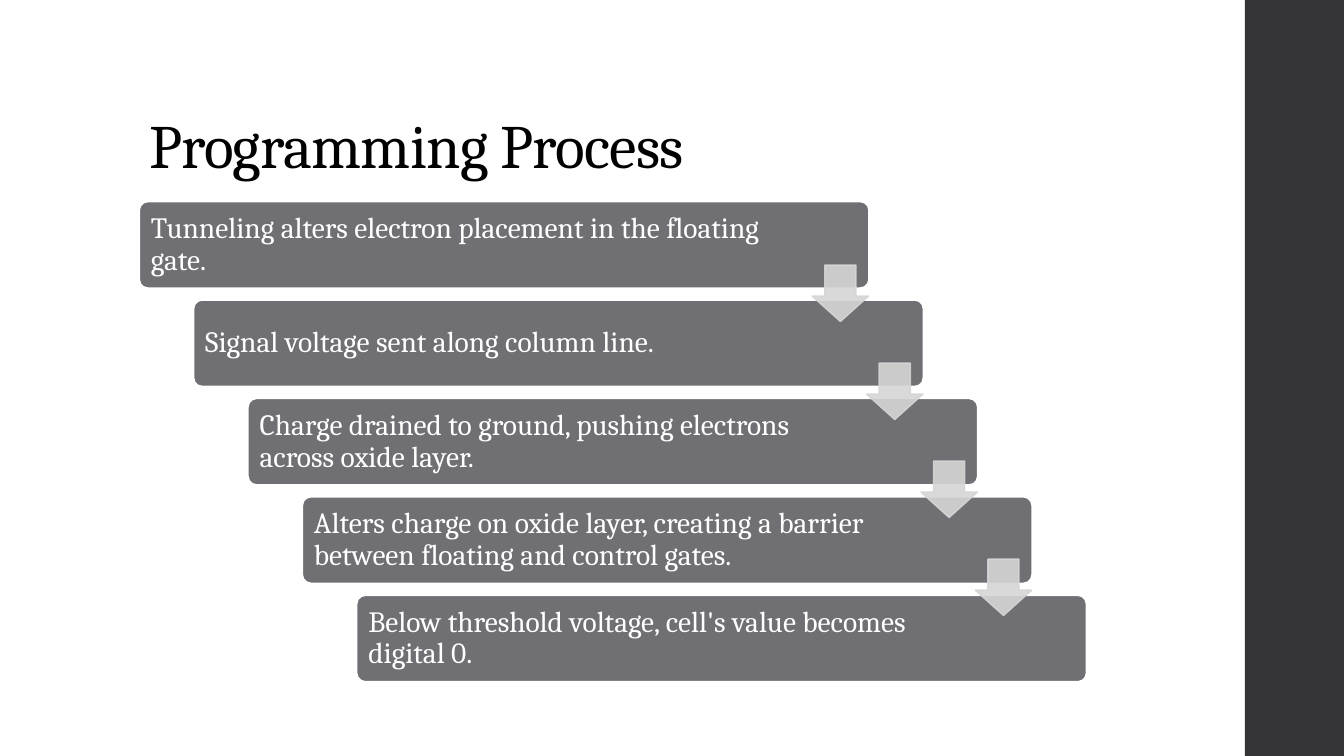
from dataclasses import dataclass

from lxml import etree
from pptx import Presentation
from pptx.dml.color import RGBColor
from pptx.enum.shapes import MSO_SHAPE
from pptx.enum.text import MSO_ANCHOR, PP_ALIGN
from pptx.oxml.ns import qn
from pptx.util import Cm, Pt

RECT = MSO_SHAPE.RECTANGLE
ROUND_RECT = MSO_SHAPE.ROUNDED_RECTANGLE
DOWN_ARROW = MSO_SHAPE.DOWN_ARROW
MIDDLE = MSO_ANCHOR.MIDDLE
BOTTOM = MSO_ANCHOR.BOTTOM
LEFT = PP_ALIGN.LEFT

STEPS = [
    "Tunneling alters electron placement in the floating gate.",
    "Signal voltage sent along column line.",
    "Charge drained to ground, pushing electrons across oxide layer.",
    "Alters charge on oxide layer, creating a barrier between floating and control gates.",
    "Below threshold voltage, cell's value becomes digital 0.",
]
STEP_X, STEP_Y = 3.51, 5.08
STEP_DX, STEP_DY = 1.37, 2.48
STEP_W, STEP_H = 18.39, 2.18
ARROW_X, ARROW_Y, ARROW_DY = 20.47, 6.68, 2.47
ARROW_SIZE = 1.42
TEXT_INSET = 0.23
FIRST_RIGHT_INSET, RIGHT_INSET = 2.68, 3.0


@dataclass(frozen=True)
class Theme:
    font: str = "Cambria"
    title_size: float = 44
    step_size: float = 21
    line_width: float = 1.1
    line_spacing: float = 0.9
    ink: str = "000000"
    white: str = "FFFFFF"
    sidebar: str = "353537"
    step: str = "6F6F74"
    arrow: str = "D5D5D6"


class Deck:
    def __init__(self, slide, theme):
        self.s = slide
        self.theme = theme

    def shape(self, kind, x, y, w, h, fill, line=None, adjust=()):
        sp = self.s.shapes.add_shape(kind, Cm(x), Cm(y), Cm(w), Cm(h))
        sp.shadow.inherit = False
        sp.fill.solid()
        sp.fill.fore_color.rgb = RGBColor.from_string(fill)
        if line:
            sp.line.color.rgb = RGBColor.from_string(line)
            sp.line.width = Pt(self.theme.line_width)
        else:
            sp.line.fill.background()
        for i, value in enumerate(adjust):
            sp.adjustments[i] = value
        return sp

    def label(self, sp, text, size, color, anchor):
        tf = sp.text_frame
        tf.word_wrap = True
        tf.vertical_anchor = anchor
        tf.text = text
        p = tf.paragraphs[0]
        p.alignment = LEFT
        p.line_spacing = self.theme.line_spacing
        r = p.runs[0]
        r.font.name = self.theme.font
        r.font.size = Pt(size)
        r.font.color.rgb = RGBColor.from_string(color)
        return r

    def title(self, text, x, y, w, h):
        sp = self.s.shapes.add_textbox(Cm(x), Cm(y), Cm(w), Cm(h))
        r = self.label(sp, text, self.theme.title_size, self.theme.ink, BOTTOM)
        r._r.get_or_add_rPr().set("spc", "-50")

    def sidebar(self, x, w, h):
        self.shape(RECT, x, 0, w, h, self.theme.sidebar)

    def step(self, text, x, y, right_inset):
        th = self.theme
        sp = self.shape(ROUND_RECT, x, y, STEP_W, STEP_H, th.step, th.white, [0.1])
        tf = sp.text_frame
        tf.margin_left = tf.margin_top = tf.margin_bottom = Cm(TEXT_INSET)
        tf.margin_right = Cm(right_inset)
        self.label(sp, text, th.step_size, th.white, MIDDLE)

    def arrow(self, x, y):
        color = self.theme.arrow
        sp = self.shape(DOWN_ARROW, x, y, ARROW_SIZE, ARROW_SIZE, color, color, [0.55, 0.45])
        for clr in sp._element.spPr.iter(qn("a:srgbClr")):
            etree.SubElement(clr, qn("a:alpha")).set("val", "90000")


def main():
    prs = Presentation()
    prs.slide_width, prs.slide_height = Cm(33.87), Cm(19.05)
    deck = Deck(prs.slides.add_slide(prs.slide_layouts[6]), Theme())
    deck.sidebar(31.37, 2.5, 19.05)
    deck.title("Programming Process", STEP_X, 1.02, 26.92, 3.68)
    for i, text in enumerate(STEPS):
        right_inset = RIGHT_INSET if i else FIRST_RIGHT_INSET
        deck.step(text, STEP_X + i * STEP_DX, STEP_Y + i * STEP_DY, right_inset)
    for i in range(len(STEPS) - 1):
        deck.arrow(ARROW_X + i * STEP_DX, ARROW_Y + i * ARROW_DY)
    prs.save("out.pptx")


if __name__ == "__main__":
    main()
